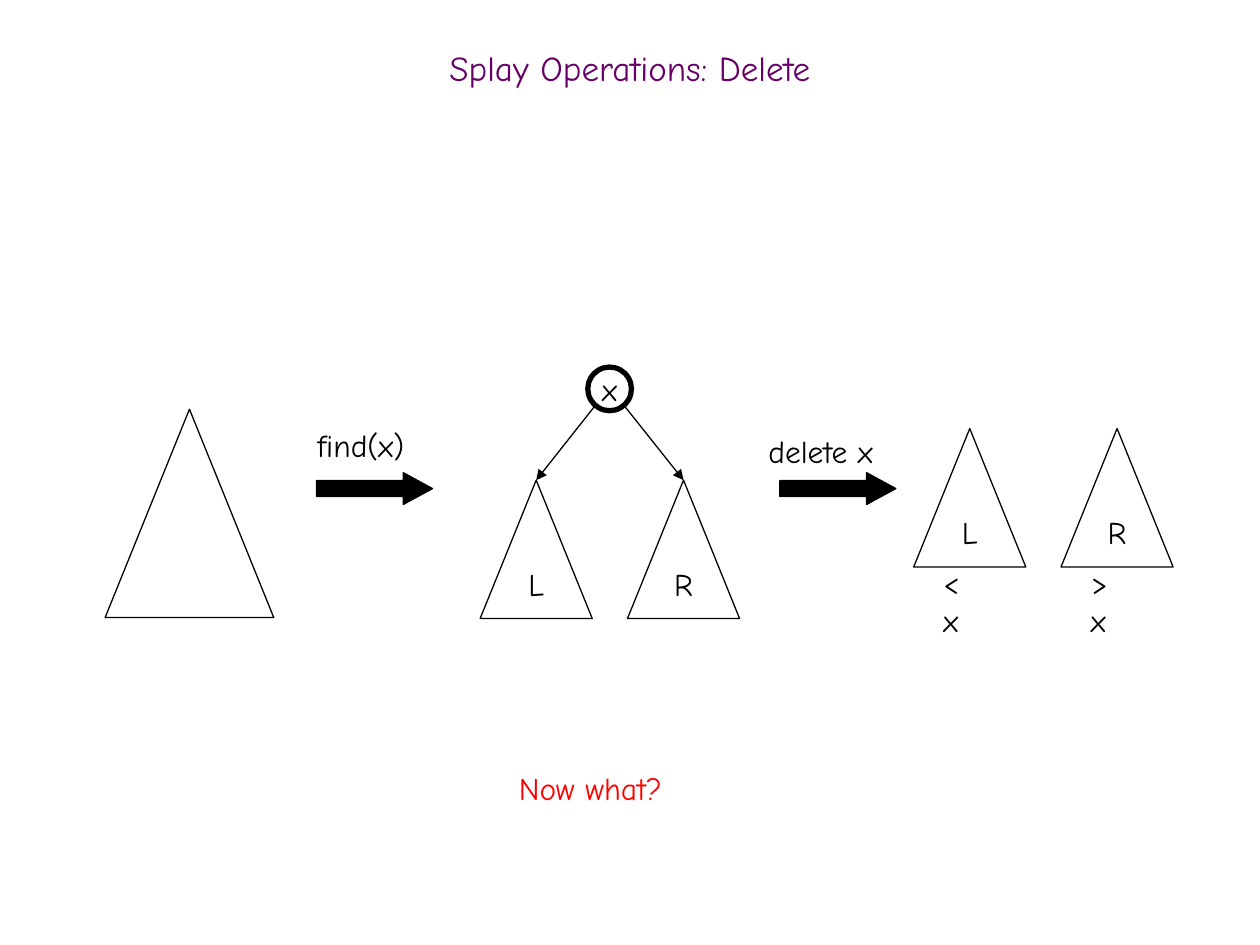
"""Build a slide showing how a splay tree deletes a key."""
from pptx import Presentation
from pptx.dml.color import RGBColor
from pptx.enum import shapes, text
from pptx.oxml import ns
from pptx.util import Cm, Pt
from lxml import etree

COLORS = {"title": "660066", "ink": "000000", "question": "FF0000"}
FONT = "Comic Neue"
SUBTREE_SIZE = (2.26, 2.79)
SUBTREE_STEP = 2.97


def color(name):
    return RGBColor.from_string(COLORS[name])


def write(frame, wording, ink="ink", size=18, align=text.PP_ALIGN.LEFT):
    frame.text = wording
    paragraph = frame.paragraphs[0]
    paragraph.alignment = align
    paragraph.font.name = FONT
    paragraph.font.size = Pt(size)
    paragraph.font.color.rgb = color(ink)
    return paragraph


def add_title(slide, wording):
    title = slide.shapes.title
    title.left, title.top, title.width, title.height = Cm(0), Cm(0.84), Cm(25.4), Cm(1.27)
    title.text_frame.vertical_anchor = text.MSO_ANCHOR.MIDDLE
    write(title.text_frame, wording, "title", 20, text.PP_ALIGN.CENTER).line_spacing = 0.7


def add_outline(parent, preset, left, top, width, height, letter="", weight=0.75):
    outline = parent.add_shape(preset, Cm(left), Cm(top), Cm(width), Cm(height))
    outline.shadow.inherit = False
    outline.fill.background()
    outline.line.color.rgb = color("ink")
    outline.line.width = Pt(weight)
    if letter:
        frame = outline.text_frame
        frame.word_wrap = False
        frame.vertical_anchor = text.MSO_ANCHOR.MIDDLE
        write(frame, letter, align=text.PP_ALIGN.CENTER)
    return outline


def add_subtrees(parent, left, top):
    triangle = shapes.MSO_SHAPE.ISOSCELES_TRIANGLE
    return [add_outline(parent, triangle, left + i * SUBTREE_STEP, top, *SUBTREE_SIZE, letter)
            for i, letter in enumerate("LR")]


def add_label(parent, wording, left, top, width, ink="ink"):
    label = parent.add_textbox(Cm(left), Cm(top), Cm(width), Cm(1.02))
    label.text_frame.word_wrap = True
    label.text_frame.auto_size = text.MSO_AUTO_SIZE.SHAPE_TO_FIT_TEXT
    write(label.text_frame, wording, ink)


def add_step(parent, wording, arrow_left, label_left, label_top, label_width):
    arrow = add_outline(parent, shapes.MSO_SHAPE.RIGHT_ARROW, arrow_left, 9.53, 2.34, 0.64)
    arrow.adjustments[1] = 0.92
    arrow.fill.solid()
    arrow.fill.fore_color.rgb = color("ink")
    add_label(parent, wording, label_left, label_top, label_width)


def add_branch(parent, left, top, subtree):
    branch = parent.add_connector(shapes.MSO_CONNECTOR.STRAIGHT, Cm(left), Cm(top), Cm(left), Cm(top))
    branch.end_connect(subtree, 0)
    branch.line.color.rgb = color("ink")
    branch.line.width = Pt(0.75)
    etree.SubElement(branch.line._get_or_add_ln(), ns.qn("a:tailEnd"), type="triangle")
    etree.SubElement(branch._element.spPr, ns.qn("a:effectLst"))


def main():
    deck = Presentation()
    deck.slide_width, deck.slide_height = Cm(25.4), Cm(19.05)
    slide = deck.slides.add_slide(deck.slide_layouts[5])
    canvas = slide.shapes
    add_title(slide, "Splay Operations: Delete")

    add_outline(canvas, shapes.MSO_SHAPE.ISOSCELES_TRIANGLE, 2.12, 8.25, 3.4, 4.2)
    add_step(canvas.add_group_shape().shapes, "find(x)", 6.38, 6.15, 8.46, 2.59)

    subtrees = add_subtrees(canvas, 9.68, 9.68)
    add_outline(canvas, shapes.MSO_SHAPE.OVAL, 11.85, 7.4, 0.88, 0.88, "x", 3)
    for branch_left, subtree in zip((11.98, 12.6), subtrees):
        add_branch(canvas, branch_left, 8.2, subtree)

    add_step(canvas, "delete x", 15.72, 15.24, 8.59, 3)
    add_subtrees(canvas.add_group_shape().shapes, 18.42, 8.64)
    for i, bound in enumerate(("< x", "> x")):
        add_label(canvas, bound, 18.77 + i * SUBTREE_STEP, 11.23, 1.32)
    add_label(canvas, "Now what?", 10.21, 15.37, 3.78, "question")
    deck.save("out.pptx")


if __name__ == "__main__":
    main()
